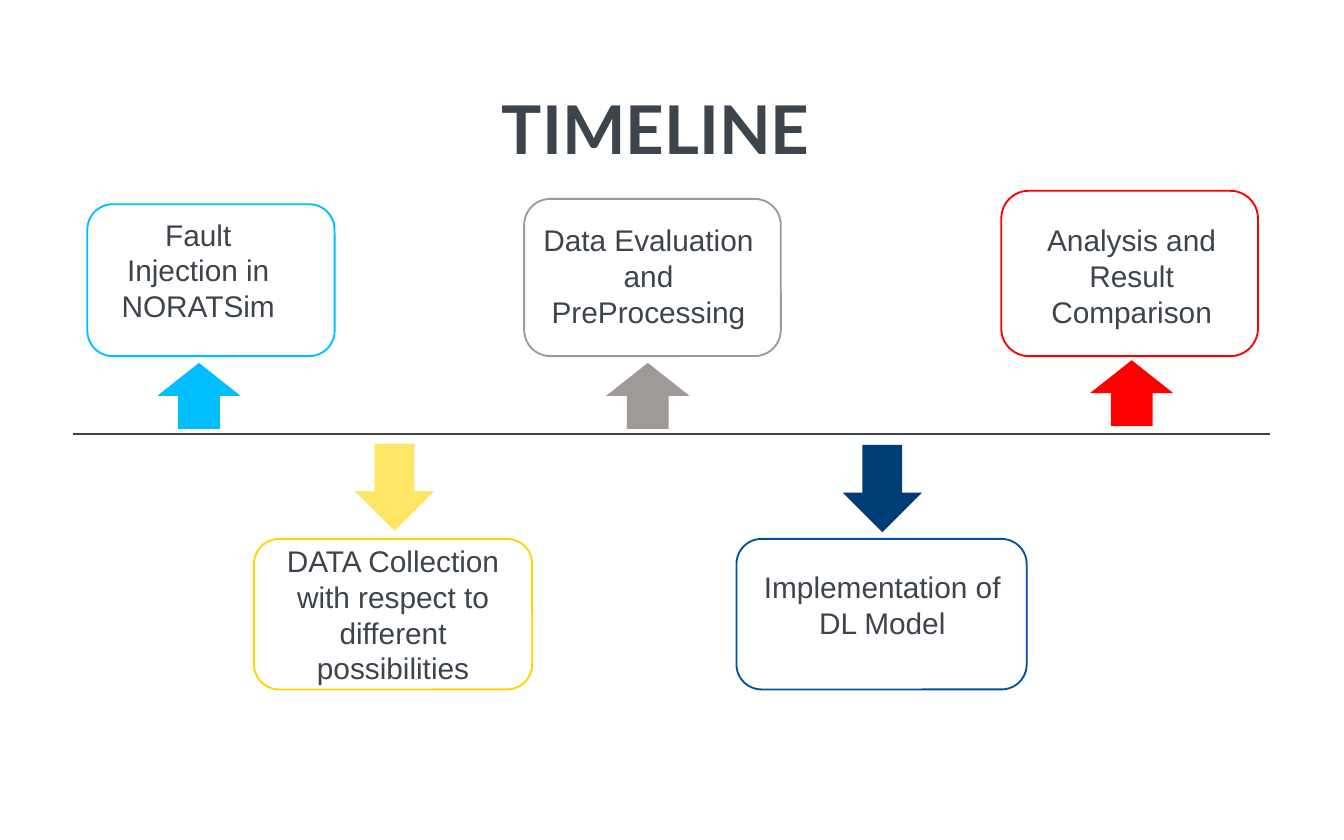
from dataclasses import dataclass

from lxml.etree import SubElement
from pptx import Presentation
from pptx.dml.color import RGBColor
from pptx.enum.shapes import MSO_CONNECTOR, MSO_SHAPE
from pptx.enum.text import MSO_ANCHOR, PP_ALIGN
from pptx.oxml.ns import qn
from pptx.util import Pt

PX = 9144  # EMU per px, 100 px to the inch


@dataclass(frozen=True)
class Theme:
    ink: str = "3E444C"
    paper: str = "FFFFFF"
    cyan: str = "00BEFF"
    gold: str = "FFD500"
    pale_gold: str = "FFE666"
    grey: str = "9F9998"
    blue: str = "00519E"
    navy: str = "003D76"
    red: str = "FF0000"
    title_font: str = "Lato"
    body_font: str = "Arial"
    title_size: int = 36
    body_size: int = 16
    body_leading: float = 19.2
    line_width: int = 1


T = Theme()


def emu(*lengths):
    return [v * PX for v in lengths]


def rgb(color):
    return RGBColor.from_string(color)


def write(tf, text, font=T.body_font, size=T.body_size, bold=False,
          leading=T.body_leading, anchor=MSO_ANCHOR.TOP):
    tf.word_wrap = True
    tf.vertical_anchor = anchor
    p = tf.paragraphs[0]
    p.alignment = PP_ALIGN.CENTER
    if leading:
        p.line_spacing = Pt(leading)
    r = p.add_run()
    r.text = text
    r.font.name, r.font.size, r.font.bold = font, Pt(size), bold
    r.font.color.rgb = rgb(T.ink)


def add_text(s, box, text, **style):
    tf = s.shapes.add_textbox(*emu(*box)).text_frame
    tf.margin_left = tf.margin_top = tf.margin_right = tf.margin_bottom = 0
    write(tf, text, **style)


def add_filled(s, kind, box, fill, line=None):
    sp = s.shapes.add_shape(kind, *emu(*box))
    sp.shadow.inherit = False
    sp.fill.solid()
    sp.fill.fore_color.rgb = rgb(fill)
    if line:
        sp.line.color.rgb = rgb(line)
        sp.line.width = Pt(T.line_width)
    else:
        sp.line.fill.background()
    return sp


def add_axis(s, x1, x2, y):
    cx = s.shapes.add_connector(MSO_CONNECTOR.STRAIGHT, *emu(x1, y, x2, y))
    cx.line.color.rgb = rgb(T.ink)
    cx.line.width = Pt(T.line_width)
    SubElement(cx.element.spPr, qn("a:effectLst"))


def add_stage(s, box, text, color, arrow_dx, gap=5, label=None,
              below=False, arrow_color=None):
    """Card with its arrow; label is the text's box relative to the card."""
    x, y, w, h = box
    card = add_filled(s, MSO_SHAPE.ROUNDED_RECTANGLE, box, T.paper, color)
    if label:
        dx, dy, label_w, label_h = label
        add_text(s, (x + dx, y + dy, label_w, label_h), text)
    else:
        write(card.text_frame, text, anchor=MSO_ANCHOR.MIDDLE)

    arrow_w, arrow_h = (59, 65) if below else (62, 49)
    arrow_y = y - gap - arrow_h if below else y + h + gap
    arrow = add_filled(s, MSO_SHAPE.DOWN_ARROW,
                       (x + arrow_dx, arrow_y, arrow_w, arrow_h),
                       arrow_color or color)
    arrow.rotation = 0 if below else 180


def main():
    prs = Presentation()
    prs.slide_width, prs.slide_height = emu(1000, 625)
    s = prs.slides.add_slide(prs.slide_layouts[6])

    add_text(s, (293, 65, 390, 53), "TIMELINE", font=T.title_font,
             size=T.title_size, bold=True, leading=None)
    add_axis(s, 54, 945, 323)

    add_stage(s, (65, 152, 184, 113), "Fault Injection in NORATSim", T.cyan,
              arrow_dx=52, label=(15, 9, 135, 84))
    add_stage(s, (189, 401, 207, 112),
              "DATA Collection with respect to different possibilities",
              T.gold, arrow_dx=75, gap=6, below=True, arrow_color=T.pale_gold)
    add_stage(s, (390, 148, 191, 117), "Data Evaluation and PreProcessing",
              T.grey, arrow_dx=61, label=(12, 17, 161, 81))
    add_stage(s, (548, 401, 216, 112), "Implementation of DL Model", T.blue,
              arrow_dx=79, label=(14, 22, 189, 76), below=True,
              arrow_color=T.navy)
    add_stage(s, (745, 142, 191, 123), "Analysis and Result Comparison",
              T.red, arrow_dx=66, gap=3, label=(19, 23, 156, 81))

    prs.save("out.pptx")


if __name__ == "__main__":
    main()
